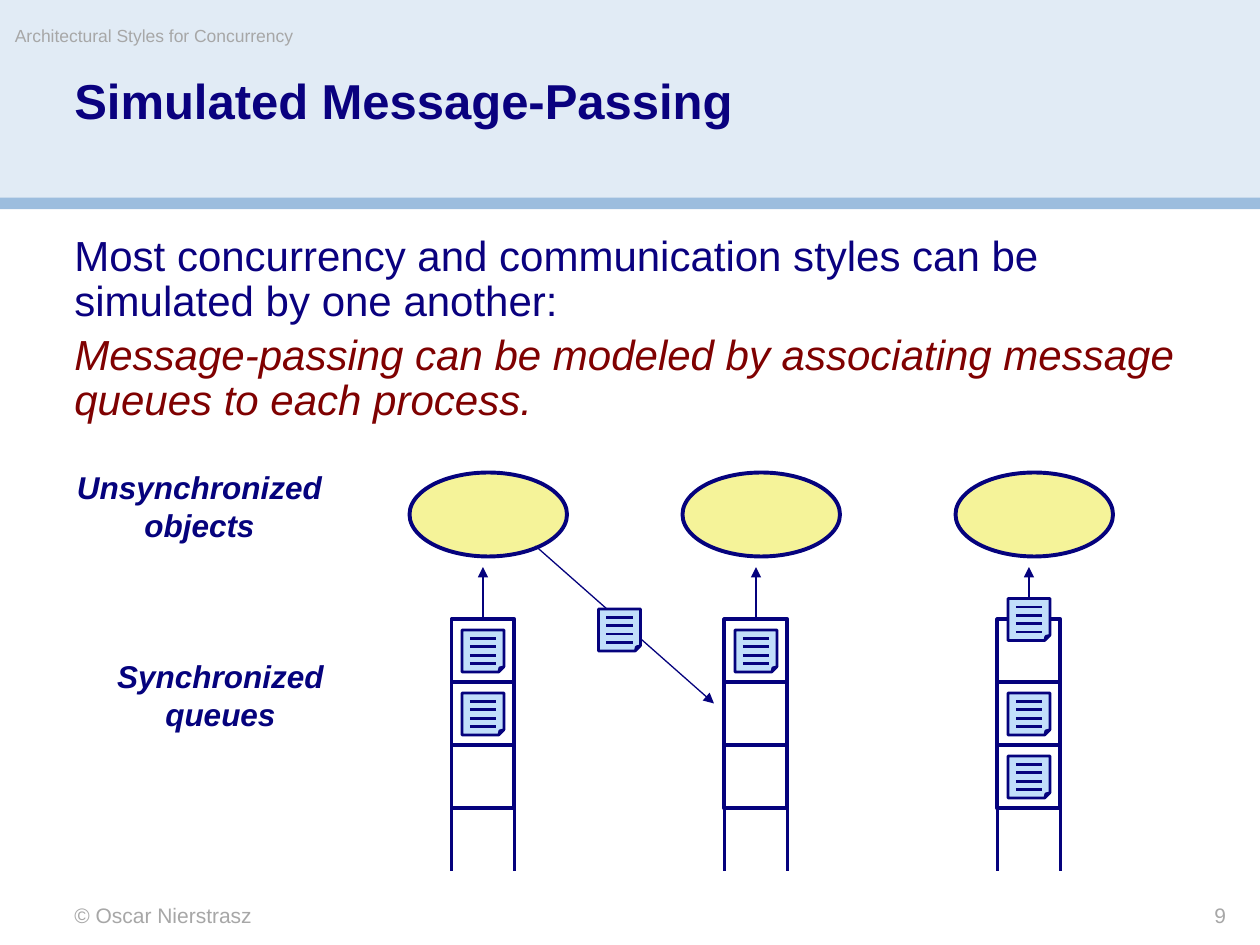
"""Build the slide on simulating message passing with queues."""
from lxml import etree
from pptx import Presentation
from pptx.dml.color import RGBColor
from pptx.enum.shapes import MSO_CONNECTOR, MSO_SHAPE
from pptx.enum.text import MSO_ANCHOR, PP_ALIGN
from pptx.oxml.ns import qn
from pptx.util import Pt

RECT, OVAL, NOTE = MSO_SHAPE.RECTANGLE, MSO_SHAPE.OVAL, MSO_SHAPE.FOLDED_CORNER
STRAIGHT = MSO_CONNECTOR.STRAIGHT
TOP, MIDDLE = MSO_ANCHOR.TOP, MSO_ANCHOR.MIDDLE
LEFT, CENTER, RIGHT = PP_ALIGN.LEFT, PP_ALIGN.CENTER, PP_ALIGN.RIGHT

NAVY, INK, RED, GRAY = "05027D", "0A017F", "7F0101", "A7A7A7"
BANDS = [((0, 0, 720, 114), "E1EBF5"), ((0, 113, 720, 6.5), "9CBDDE")]

SMALL = {"size": Pt(12)}
LABEL = {"size": Pt(18), "bold": True, "italic": True}
BODY = {"size": Pt(24)}
TIGHT = {"line_spacing": 0.9}
TEXTS = [
    ((42.5, 515.5, 300, 14.5), TOP, [("© Oscar Nierstrasz", GRAY, SMALL, {})]),
    ((8.5, 14.5, 425, 20), TOP,
     [("Architectural Styles for Concurrency", GRAY, {"size": Pt(10)}, {})]),
    ((594, 516, 106.5, 14.5), TOP, [("9", GRAY, SMALL, {"alignment": RIGHT})]),
    ((42.5, 44, 636, 64), TOP,
     [("Simulated Message-Passing", INK, {"size": Pt(28), "bold": True}, TIGHT)]),
    ((42.5, 130.5, 635, 116), MIDDLE, [
        ("Most concurrency and communication styles can be simulated by one another:",
         INK, BODY, TIGHT),
        ("Message-passing can be modeled by associating message queues to each process.",
         RED, BODY | {"italic": True}, TIGHT | {"space_before": Pt(4.8)}),
    ]),
    ((37.2, 267.6, 153.6, 43.2), TOP,
     [("Unsynchronized objects", NAVY, LABEL, {"alignment": CENTER})]),
    ((55.2, 375.6, 141.6, 43.2), TOP,
     [("Synchronized queues", NAVY, LABEL, {"alignment": CENTER})]),
]

QUEUE_LEFT, QUEUE_TOP, QUEUE_PITCH = 258, 354, 156
CELL, CELLS = 36, 3
MESSAGE, MESSAGE_LINES = 24, 4
QUEUED_MESSAGE_TOPS = [(360, 396), (360,), (342, 396, 432)]
SENT_MESSAGE = (342, 348)
SEND_PATH = (306, 312, 408, 402)


def color(value):
    return RGBColor.from_string(value)


def apply(target, values):
    for name, value in values.items():
        setattr(target, name, value)


def add_block(shapes, kind, box, fill, weight=0):
    block = shapes.add_shape(kind, *map(Pt, box))
    block.shadow.inherit = False
    block.fill.solid()
    block.fill.fore_color.rgb = color(fill)
    if weight:
        block.line.color.rgb = color(NAVY)
        block.line.width = Pt(weight)
    else:
        block.line.fill.background()
    return block


def add_stroke(shapes, ends, weight, arrow=False):
    stroke = shapes.add_connector(STRAIGHT, *map(Pt, ends))
    stroke.line.color.rgb = color(NAVY)
    stroke.line.width = Pt(weight)
    properties = stroke._element.spPr
    if arrow:
        etree.SubElement(properties.find(qn("a:ln")), qn("a:tailEnd"), type="triangle")
    etree.SubElement(properties, qn("a:effectLst"))


def add_text(shapes, box, anchor, paragraphs):
    frame = shapes.add_textbox(*map(Pt, box)).text_frame
    apply(frame, {"word_wrap": True, "vertical_anchor": anchor, "margin_left": 0,
                  "margin_top": 0, "margin_right": 0, "margin_bottom": 0})
    for index, (wording, ink, font, layout) in enumerate(paragraphs):
        paragraph = frame.add_paragraph() if index else frame.paragraphs[0]
        apply(paragraph, {"alignment": LEFT} | layout)
        run = paragraph.add_run()
        run.text = wording
        apply(run.font, {"name": "Arial"} | font)
        run.font.color.rgb = color(ink)


def add_message(shapes, left, top):
    message = shapes.add_group_shape().shapes
    sheet = add_block(message, NOTE, (left, top, MESSAGE, MESSAGE), "C1DEFA", 1.5)
    guides = sheet._element.spPr.find(qn("a:prstGeom")).find(qn("a:avLst"))
    etree.SubElement(guides, qn("a:gd"), name="adj", fmla="val 12500")
    for row in range(1, MESSAGE_LINES + 1):
        y = top + row * MESSAGE / (MESSAGE_LINES + 1)
        add_stroke(message, (left + 4.5, y, left + 19.5, y), 1.5)


def add_queue(shapes, left):
    queue = shapes.add_group_shape().shapes
    for row in range(CELLS):
        add_block(queue, RECT, (left, QUEUE_TOP + row * CELL, CELL, CELL), "FFFFFF", 2.25)
    bottom = QUEUE_TOP + CELLS * CELL
    for x in (left, left + CELL):
        add_stroke(queue, (x, bottom, x, bottom + CELL), 2.25)


def main():
    deck = Presentation()
    apply(deck, {"slide_width": Pt(720), "slide_height": Pt(540)})
    shapes = deck.slides.add_slide(deck.slide_layouts[6]).shapes
    for box, fill in BANDS:
        add_block(shapes, RECT, box, fill)
    for text in TEXTS:
        add_text(shapes, *text)
    for index, message_tops in enumerate(QUEUED_MESSAGE_TOPS):
        left = QUEUE_LEFT + index * QUEUE_PITCH
        center = left + CELL / 2
        add_queue(shapes, left)
        add_block(shapes, OVAL, (left - 24, 270, 90, 48), "F5F399", 2.25)
        add_stroke(shapes, (center, QUEUE_TOP, center, 324), 0.75, arrow=True)
        for top in message_tops:
            add_message(shapes, center - MESSAGE / 2, top)
    add_stroke(shapes, SEND_PATH, 0.75, arrow=True)
    add_message(shapes, *SENT_MESSAGE)
    deck.save("out.pptx")


if __name__ == "__main__":
    main()
